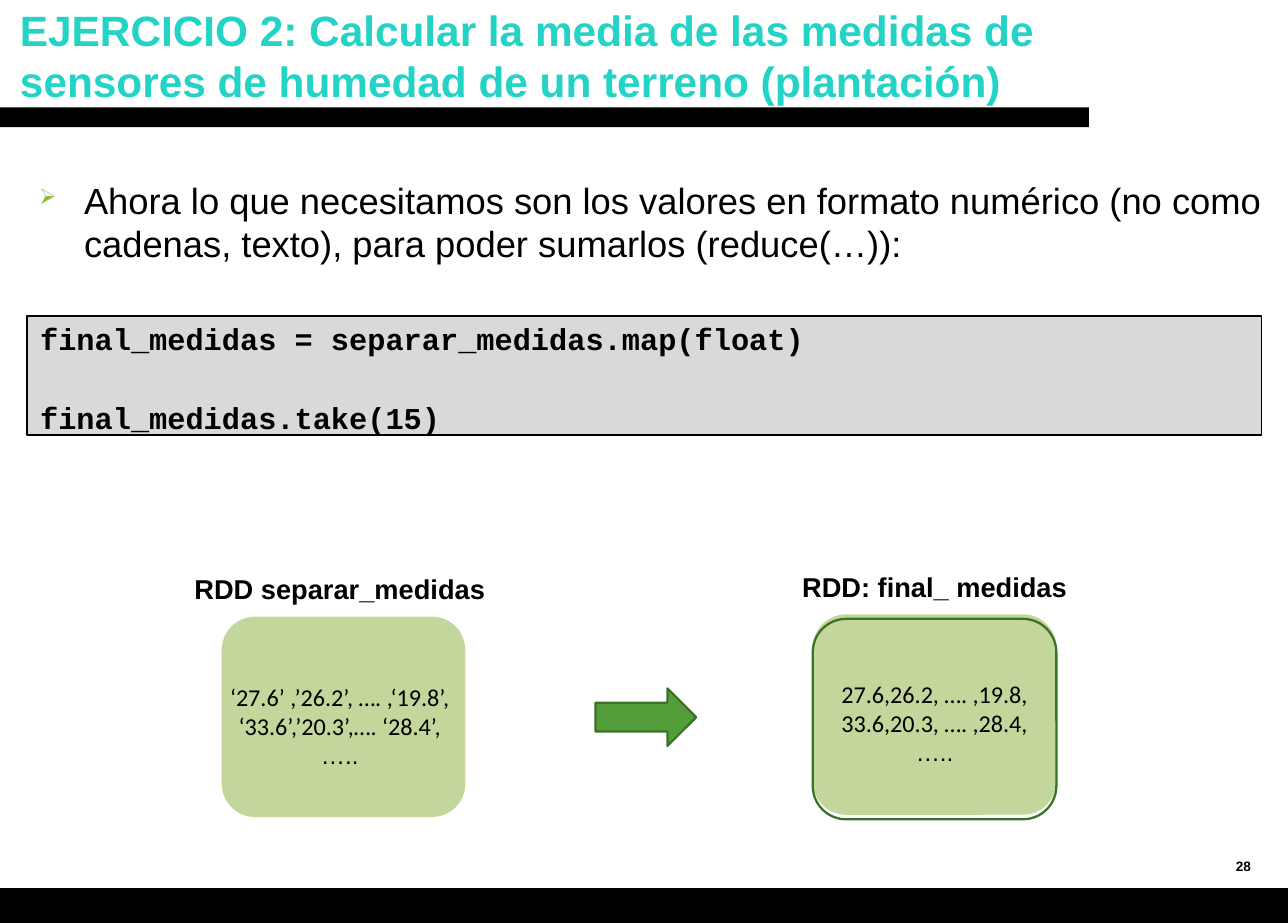
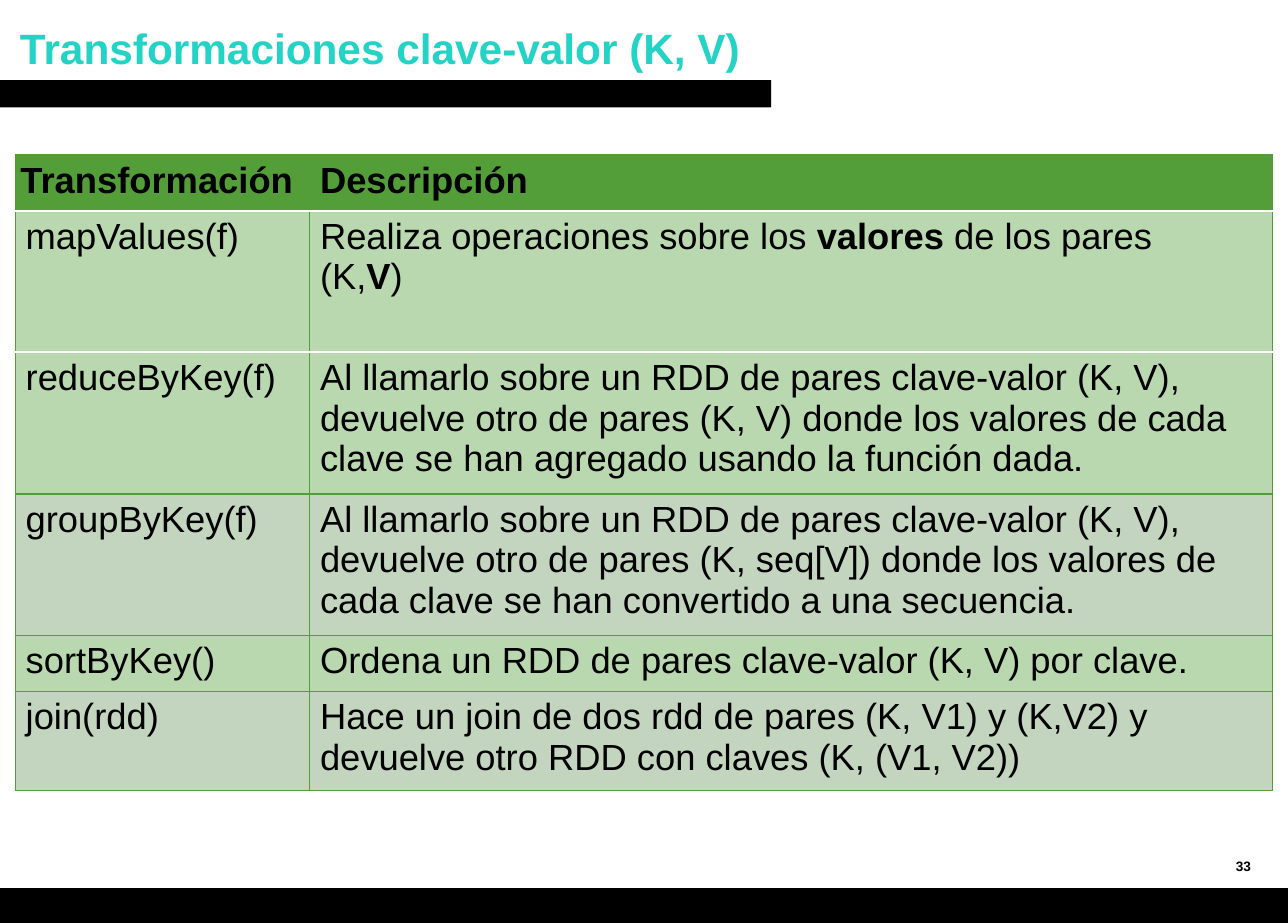
from dataclasses import dataclass

from lxml import etree
from pptx import Presentation
from pptx.dml.color import RGBColor
from pptx.enum.shapes import MSO_SHAPE
from pptx.enum.text import MSO_ANCHOR, MSO_AUTO_SIZE, PP_ALIGN
from pptx.oxml.ns import qn
from pptx.util import Pt


@dataclass(frozen=True)
class Theme:
    width: float = 851
    height: float = 610
    black: str = "000000"
    white: str = "FFFFFF"
    title: str = "22D3C6"
    bullet: str = "89B833"
    code_fill: str = "D9D9D9"
    card_fill: str = "C3D69B"
    green: str = "539E39"
    dark_green: str = "3A7327"
    row_bright: str = "BAD8AF"
    row_muted: str = "C3D5BE"
    sans: str = "Arial"
    data: str = "Calibri"
    mono: str = "Courier New"
    title_size: float = 28
    body_size: float = 24
    code_size: float = 20
    caption_size: float = 18
    data_size: float = 16
    number_size: float = 9


THEME = Theme()


def rgb(color):
    return RGBColor.from_string(color)


def points(*values):
    return [Pt(value) for value in values]


def style(paragraph, size, color=THEME.black, font=THEME.sans, bold=False):
    paragraph.font.size = Pt(size)
    paragraph.font.name = font
    paragraph.font.bold = bold
    paragraph.font.color.rgb = rgb(color)


def set_margins(target, left=0, top=0, right=0, bottom=0):
    target.margin_left, target.margin_top = points(left, top)
    target.margin_right, target.margin_bottom = points(right, bottom)


def add_panel(slide, kind, box, fill=None, line=None, line_width=1.5):
    panel = slide.shapes.add_shape(kind, *points(*box))
    panel.shadow.inherit = False
    if fill:
        panel.fill.solid()
        panel.fill.fore_color.rgb = rgb(fill)
    else:
        panel.fill.background()
    if line:
        panel.line.color.rgb = rgb(line)
        panel.line.width = Pt(line_width)
    else:
        panel.line.fill.background()
    return panel


def add_text_frame(slide, box):
    frame = slide.shapes.add_textbox(*points(*box)).text_frame
    frame.word_wrap = True
    set_margins(frame)
    return frame


def add_titled_slide(deck, title, title_top, band, number):
    """Add a slide with its title, the band under it and the footer.

    band is the (top, width, height) of the black band.
    """
    slide = deck.slides.add_slide(deck.slide_layouts[5])
    heading = slide.shapes.title
    heading.left, heading.top, heading.width, heading.height = points(6, title_top, 768, 48)
    frame = heading.text_frame
    frame.text = title
    frame.auto_size = MSO_AUTO_SIZE.NONE
    frame.vertical_anchor = MSO_ANCHOR.TOP
    paragraph = frame.paragraphs[0]
    paragraph.alignment = PP_ALIGN.LEFT
    style(paragraph, THEME.title_size, THEME.title, bold=True)

    band_top, band_width, band_height = band
    footer_top = 587
    for box in ((0, band_top, band_width, band_height),
                (0, footer_top, THEME.width, THEME.height - footer_top)):
        add_panel(slide, MSO_SHAPE.RECTANGLE, box, THEME.black)

    page = add_text_frame(slide, (816.5, 558, 26, 29))
    page.vertical_anchor = MSO_ANCHOR.MIDDLE
    page.text = str(number)
    style(page.paragraphs[0], THEME.number_size, bold=True)
    return slide


def add_bullet(slide, box, text):
    frame = add_text_frame(slide, box)
    frame.margin_top = Pt(1.5)
    frame.text = text
    paragraph = frame.paragraphs[0]
    properties = paragraph._p.get_or_add_pPr()
    properties.set("marL", str(Pt(31)))
    properties.set("indent", str(Pt(-29.5)))
    color = etree.SubElement(properties, qn("a:buClr"))
    etree.SubElement(color, qn("a:srgbClr"), val=THEME.bullet)
    etree.SubElement(properties, qn("a:buSzPct"), val="60000")
    etree.SubElement(properties, qn("a:buChar"), char="➢")
    style(paragraph, THEME.body_size)


def add_code(slide, box, statements):
    listing = add_panel(slide, MSO_SHAPE.RECTANGLE, box, THEME.code_fill, THEME.black, 1)
    frame = listing.text_frame
    frame.vertical_anchor = MSO_ANCHOR.TOP
    set_margins(frame, left=8.5, top=2.5)
    frame.text = "\n".join(statements)
    for index, paragraph in enumerate(frame.paragraphs):
        paragraph.alignment = PP_ALIGN.LEFT
        if index:
            paragraph.space_before = Pt(28)
        style(paragraph, THEME.code_size, font=THEME.mono, bold=True)


def add_rdd(slide, box, name, values, shift=0, outlined=False):
    """Draw a data card with its name above; shift moves the text sideways."""
    left, top, width, height = box
    card = add_panel(slide, MSO_SHAPE.ROUNDED_RECTANGLE, box, THEME.card_fill)
    if outlined:
        add_panel(slide, MSO_SHAPE.ROUNDED_RECTANGLE, (left, top + 3, width, height),
                  line=THEME.dark_green)

    overhang = 22
    caption = add_text_frame(
        slide, (left - overhang + shift, top - 29.3, width + 2 * overhang, 22))
    caption.text = name
    caption.paragraphs[0].alignment = PP_ALIGN.CENTER
    style(caption.paragraphs[0], THEME.caption_size, bold=True)

    frame = card.text_frame
    frame.word_wrap = False
    frame.vertical_anchor = MSO_ANCHOR.MIDDLE
    set_margins(frame, top=11.5, right=-2 * shift)
    frame.text = "\n".join([*values, "….."])
    for paragraph in frame.paragraphs:
        paragraph.alignment = PP_ALIGN.CENTER
        style(paragraph, THEME.data_size, font=THEME.data)
    frame.paragraphs[-1].font.name = THEME.sans


def set_borders(cell, **sides):
    """Draw cell borders; each side (L, R, T, B) is a (colour, width) pair."""
    properties = cell._tc.get_or_add_tcPr()
    for side, (color, width) in sides.items():
        line = etree.SubElement(properties, qn(f"a:ln{side}"), w=str(Pt(width)))
        fill = etree.SubElement(line, qn("a:solidFill"))
        etree.SubElement(fill, qn("a:srgbClr"), val=color)


def fill_cell(cell, parts, fill, left, right, bold, top_line, bottom_line):
    """Write parts into a cell; every second part is in bold."""
    grid_line = (THEME.green, 1)
    set_borders(cell, L=grid_line, R=grid_line, T=top_line, B=bottom_line)
    cell.fill.solid()
    cell.fill.fore_color.rgb = rgb(fill)
    set_margins(cell, left=left, top=3.6, right=right)
    paragraph = cell.text_frame.paragraphs[0]
    style(paragraph, THEME.body_size, bold=bold)
    for index, part in enumerate(parts):
        run = paragraph.add_run()
        run.text = part
        if index % 2:
            run.font.bold = True


def add_transformations(slide, left, top, widths, rows):
    """Draw the table; a row is (height, fill, name, description parts)."""
    heights = [row[0] for row in rows]
    table = slide.shapes.add_table(
        len(rows), len(widths), *points(left, top, sum(widths), sum(heights))).table
    table.first_row = table.horz_banding = False
    for column, width in zip(table.columns, widths):
        column.width = Pt(width)
    white_lines = (1, 2)
    lines = [(THEME.white, 1.5) if index in white_lines else (THEME.green, 1)
             for index in range(len(rows) + 1)]
    for index, (height, fill, name, description) in enumerate(rows):
        table.rows[index].height = Pt(height)
        is_header = index == 0
        columns = (([name], 3.5 if is_header else 7, 0), (description, 7, 26))
        for column, (parts, indent, right) in enumerate(columns):
            fill_cell(table.cell(index, column), parts, fill, indent, right,
                      is_header, lines[index], lines[index + 1])


def build_exercise(deck):
    slide = add_titled_slide(
        deck,
        "EJERCICIO 2: Calcular la media de las medidas de sensores de humedad "
        "de un terreno (plantación)",
        -0.7, (71, 719.5, 13), 28)
    add_bullet(
        slide, (24.5, 116, 826, 59),
        "Ahora lo que necesitamos son los valores en formato numérico "
        "(no como cadenas, texto), para poder sumarlos (reduce(…)):")
    add_code(slide, (18, 209, 815.5, 78.5),
             ("final_medidas = separar_medidas.map(float)", "final_medidas.take(15)"))
    add_panel(slide, MSO_SHAPE.RIGHT_ARROW, (393.5, 455, 66.5, 38),
              THEME.green, THEME.dark_green)
    card_size = (161, 132.5)
    add_rdd(slide, (537, 406, *card_size), "RDD: final_ medidas",
            ("27.6,26.2, …. ,19.8,", "33.6,20.3, …. ,28.4,"), outlined=True)
    add_rdd(slide, (146.5, 407.5, *card_size), "RDD separar_medidas",
            ("‘27.6’ ,’26.2’, …. ,‘19.8’,", "‘33.6’,’20.3’,…. ‘28.4’,"), shift=-2.5)


def build_key_value(deck):
    slide = add_titled_slide(deck, "Transformaciones clave-valor (K, V)",
                             11, (53, 509.5, 18), 33)
    bright, muted = THEME.row_bright, THEME.row_muted
    single, double, triple = 36.8, 65.5, 93.6
    rows = (
        (single, THEME.green, "Transformación", ["Descripción"]),
        (triple, bright, "mapValues(f)",
         ["Realiza operaciones sobre los ", "valores", " de los pares (K,", "V", ")"]),
        (triple, bright, "reduceByKey(f)",
         ["Al llamarlo sobre un RDD de pares clave-valor (K, V), devuelve otro de pares "
          "(K, V) donde los valores de cada clave se han agregado usando la función dada."]),
        (triple, muted, "groupByKey(f)",
         ["Al llamarlo sobre un RDD de pares clave-valor (K, V), devuelve otro de pares "
          "(K, seq[V]) donde los valores de cada clave se han convertido a una secuencia."]),
        (single, bright, "sortByKey()",
         ["Ordena un RDD de pares clave-valor (K, V) por clave."]),
        (double, muted, "join(rdd)",
         ["Hace un join de dos rdd de pares (K, V1) y (K,V2) y devuelve otro RDD "
          "con claves (K, (V1, V2))"]),
    )
    add_transformations(slide, 10, 102.5, (194.5, 636.5), rows)


def main():
    deck = Presentation()
    deck.slide_width, deck.slide_height = points(THEME.width, THEME.height)
    build_exercise(deck)
    build_key_value(deck)
    deck.save("out.pptx")


if __name__ == "__main__":
    main()
